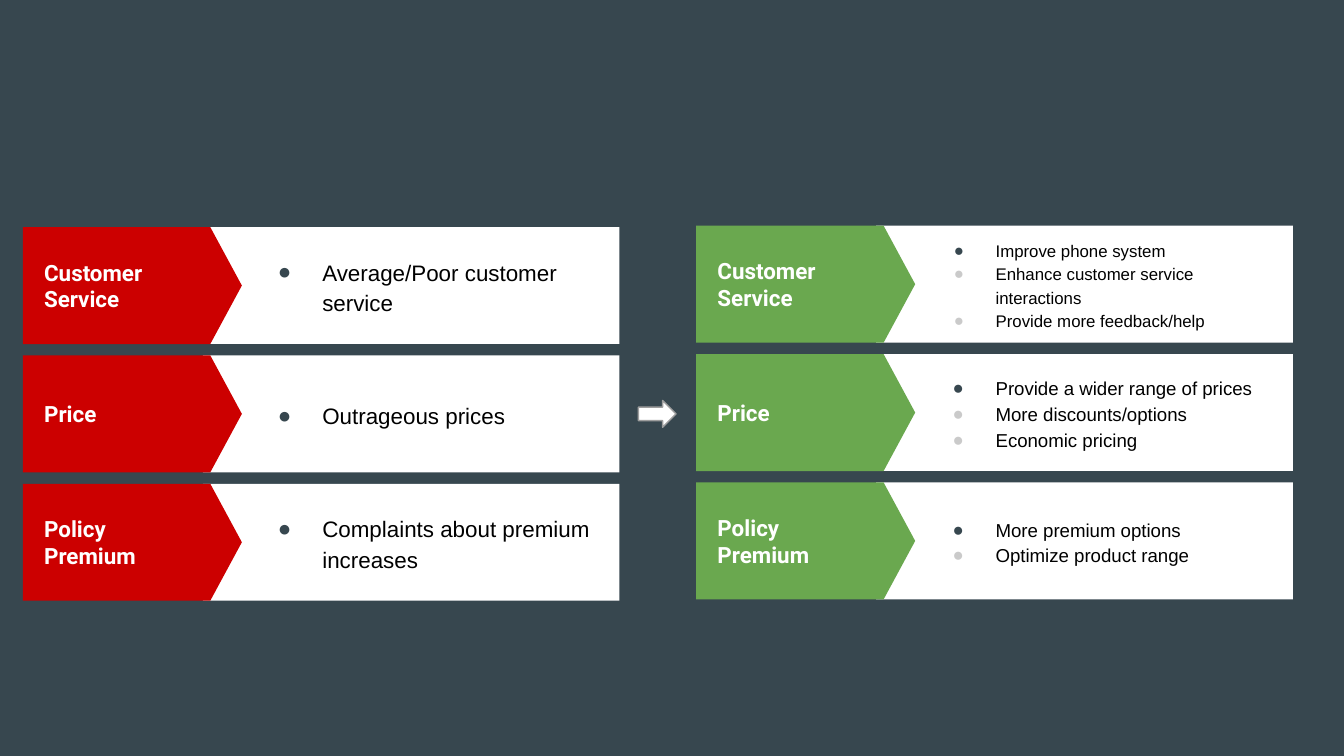
from dataclasses import dataclass

from lxml.etree import SubElement
from pptx import Presentation
from pptx.dml.color import RGBColor
from pptx.enum.shapes import MSO_SHAPE
from pptx.enum.text import MSO_ANCHOR, PP_ALIGN
from pptx.oxml.ns import qn
from pptx.util import Inches, Pt


@dataclass(frozen=True)
class Theme:
    """Colours, fonts and type sizes of the slide."""

    background: str = "37474F"
    panel: str = "FFFFFF"
    problem: str = "CC0000"
    solution: str = "6AA84F"
    label: str = "FFFFFF"
    body: str = "000000"
    first_bullet: str = "37474F"
    other_bullet: str = "CACACA"
    arrow_line: str = "9E9E9E"
    label_font: str = "Roboto"
    body_font: str = "Arial"
    large: int = 12
    medium: int = 10
    small: int = 9


THEME = Theme()
ROW_PITCH, ROW_HEIGHT = 0.955, 0.87
TAG_WIDTH, PANEL_OFFSET, PANEL_WIDTH = 1.63, 1.34, 3.1
BULLET_HANGING = {THEME.large: 0.33, THEME.medium: 0.32, THEME.small: 0.31}

LABELS = [["Customer Service"], ["Price"], ["Policy", "Premium"]]
PROBLEMS = [
    (THEME.large, ["Average/Poor customer service"]),
    (THEME.large, ["Outrageous prices"]),
    (THEME.large, ["Complaints about premium increases"]),
]
SOLUTIONS = [
    (THEME.small, ["Improve phone system", "Enhance customer service interactions",
                   "Provide more feedback/help"]),
    (THEME.medium, ["Provide a wider range of prices", "More discounts/options",
                    "Economic pricing"]),
    (THEME.medium, ["More premium options", "Optimize product range"]),
]


def add_block(shapes, preset, left, top, width, height, color):
    """Add a filled preset shape without line or shadow."""
    shape = shapes.add_shape(preset, Inches(left), Inches(top), Inches(width), Inches(height))
    shape.shadow.inherit = False
    shape.fill.solid()
    shape.fill.fore_color.rgb = RGBColor.from_string(color)
    shape.line.fill.background()
    return shape


def add_text(slide, left, top, width, lines, font_name, size, color, bold=False):
    """Add a vertically centred text box and return its paragraphs."""
    box = slide.shapes.add_textbox(Inches(left), Inches(top), Inches(width), Inches(ROW_HEIGHT))
    frame = box.text_frame
    frame.word_wrap = True
    frame.vertical_anchor = MSO_ANCHOR.MIDDLE
    frame.margin_left = frame.margin_right = Inches(0.1)
    frame.margin_top = frame.margin_bottom = Inches(0.1)
    frame.text = "\n".join(lines)
    for paragraph in frame.paragraphs:
        paragraph.alignment = PP_ALIGN.LEFT
        paragraph.font.name = font_name
        paragraph.font.size = Pt(size)
        paragraph.font.bold = bold
        paragraph.font.color.rgb = RGBColor.from_string(color)
    return frame.paragraphs


def set_bullet(paragraph, color, hanging):
    """Give a paragraph a coloured round bullet with a hanging indent."""
    paragraph.line_spacing = 1.15
    properties = paragraph._p.get_or_add_pPr()
    properties.set("marL", str(Inches(0.5)))
    properties.set("indent", str(-Inches(hanging)))
    bullet_color = SubElement(properties, qn("a:buClr"))
    SubElement(bullet_color, qn("a:srgbClr"), val=color)
    bullet_font = SubElement(properties, qn("a:buFont"), typeface=THEME.body_font)
    bullet = SubElement(properties, qn("a:buChar"), char="●")
    default_font = properties.find(qn("a:defRPr"))
    for element in (bullet_color, bullet_font, bullet):
        default_font.addprevious(element)


def add_row(slide, left, top, color, label, size, points):
    """Add one labelled tag with its panel of bullet points."""
    group = slide.shapes.add_group_shape()
    add_block(group.shapes, MSO_SHAPE.RECTANGLE, left + PANEL_OFFSET, top,
              PANEL_WIDTH, ROW_HEIGHT, THEME.panel)
    tag = add_block(group.shapes, MSO_SHAPE.PENTAGON, left, top, TAG_WIDTH, ROW_HEIGHT, color)
    tag.adjustments[0] = 0.27
    add_text(slide, left + 0.06, top, 1.3, label, THEME.label_font, THEME.large,
             THEME.label, bold=True)
    paragraphs = add_text(slide, left + TAG_WIDTH, top, 2.73, points, THEME.body_font,
                          size, THEME.body)
    for index, paragraph in enumerate(paragraphs):
        bullet_color = THEME.other_bullet if index else THEME.first_bullet
        set_bullet(paragraph, bullet_color, BULLET_HANGING[size])


def add_column(slide, left, top, color, entries):
    """Add a column of evenly spaced rows."""
    for index, (label, (size, points)) in enumerate(zip(LABELS, entries)):
        add_row(slide, left, top + index * ROW_PITCH, color, label, size, points)


def add_arrow(slide):
    """Add the arrow that leads from problems to solutions."""
    arrow = add_block(slide.shapes, MSO_SHAPE.RIGHT_ARROW, 4.75, 2.98, 0.28, 0.2, THEME.panel)
    arrow.line.color.rgb = RGBColor.from_string(THEME.arrow_line)
    arrow.line.width = Pt(0.75)


def main():
    """Build and save the slide."""
    presentation = Presentation()
    presentation.slide_width = Inches(10)
    presentation.slide_height = Inches(10 * 9 / 16)
    slide = presentation.slides.add_slide(presentation.slide_layouts[6])
    slide.background.fill.solid()
    slide.background.fill.fore_color.rgb = RGBColor.from_string(THEME.background)
    add_column(slide, 0.17, 1.69, THEME.problem, PROBLEMS)
    add_column(slide, 5.18, 1.68, THEME.solution, SOLUTIONS)
    add_arrow(slide)
    presentation.save("out.pptx")


if __name__ == "__main__":
    main()
